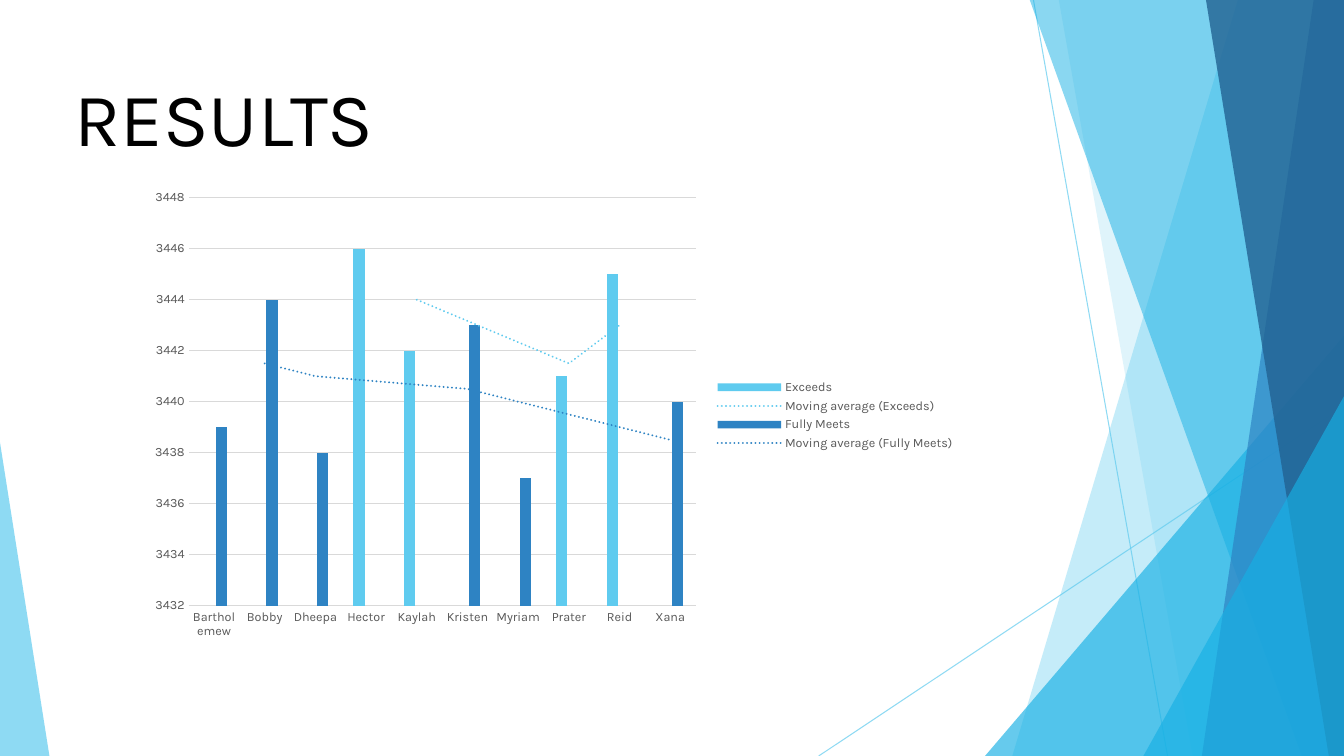
from lxml import etree
from pptx import Presentation
from pptx.chart.data import CategoryChartData
from pptx.dml.color import RGBColor
from pptx.enum.chart import XL_CHART_TYPE as Chart, XL_LEGEND_POSITION as Legend, XL_TICK_MARK as Tick
from pptx.enum.shapes import MSO_CONNECTOR as Line, MSO_SHAPE as Shape
from pptx.enum.text import MSO_ANCHOR as Anchor
from pptx.oxml import parse_xml
from pptx.oxml.ns import nsdecls, qn
from pptx.util import Inches, Pt

SKY, CYAN, BLUE, NAVY = "5FCBEF", "17B0E4", "2E83C3", "226292"
GREY, RULE, BLACK = "595959", "D9D9D9", "000000"
WIDTH, HEIGHT, TOP = 13.33, 7.5, -0.01


def paint(color, value):
    color.rgb = RGBColor.from_string(value)


def fade(fill, alpha):
    """Set the opacity, in percent, of a solid fill."""
    hue = fill._xPr.find(qn("a:solidFill"))[0]
    etree.SubElement(hue, qn("a:alpha")).set("val", str(alpha * 1000))


class Canvas:
    font = "Karla"

    def __init__(self, slide):
        self.shapes = slide.shapes

    def style(self, font, size, color):
        font.name, font.size = self.font, Pt(size)
        paint(font.color, color)

    def tint(self, shape, color, alpha):
        shape.shadow.inherit = False
        shape.fill.solid()
        paint(shape.fill.fore_color, color)
        fade(shape.fill, alpha)
        shape.line.fill.background()

    def line(self, *ends):
        wire = self.shapes.add_connector(Line.STRAIGHT, *map(Inches, ends))
        wire.line.width = Pt(0.75)
        paint(wire.line.color, SKY)
        fade(wire.line.fill, 70)
        etree.SubElement(wire._element.spPr, qn("a:effectLst"))

    def band(self, head, foot, color, alpha):
        """Fill from a slanted edge to the right side of the slide."""
        points = [(Inches(x), Inches(y)) for x, y in
                  [(head, TOP), (WIDTH, TOP), (WIDTH, HEIGHT), (foot, HEIGHT)]]
        pen = self.shapes.build_freeform(*points[0], scale=1.0)
        pen.add_line_segments(points[1:], close=True)
        self.tint(pen.convert_to_shape(), color, alpha)

    def wedge(self, left, top, width, apex, color, alpha):
        """Stand a right triangle on the bottom edge."""
        box = map(Inches, (left, top, width, HEIGHT - top))
        shape = self.shapes.add_shape(Shape.ISOSCELES_TRIANGLE, *box)
        shape.adjustments[0] = apex
        self.tint(shape, color, alpha)

    def title(self, text, *box):
        frame = self.shapes.add_textbox(*map(Inches, box)).text_frame
        frame.word_wrap = True
        frame.vertical_anchor = Anchor.MIDDLE
        frame.text = text
        self.style(frame.paragraphs[0].runs[0].font, 54, BLACK)

    def trend(self, series, color):
        series._element.find(qn("c:cat")).addprevious(parse_xml(
            f'<c:trendline {nsdecls("c", "a")}><c:spPr><a:ln w="19050" cap="rnd">'
            f'<a:solidFill><a:srgbClr val="{color}"/></a:solidFill>'
            '<a:prstDash val="sysDot"/></a:ln></c:spPr>'
            '<c:trendlineType val="movingAvg"/><c:period val="2"/>'
            '<c:dispRSqr val="0"/><c:dispEq val="0"/></c:trendline>'))

    def place(self, chart, **area):
        """Fix the inner plot area as fractions of the chart."""
        plot = chart._chartSpace.chart.plotArea
        for old in plot.findall(qn("c:layout")):
            plot.remove(old)
        sizes = "".join(f'<c:{key} val="{val}"/>' for key, val in area.items())
        plot.insert(0, parse_xml(
            f'<c:layout {nsdecls("c")}><c:manualLayout><c:layoutTarget val="inner"/>'
            f'<c:xMode val="edge"/><c:yMode val="edge"/>{sizes}</c:manualLayout></c:layout>'))

    def columns(self, names, groups, *box):
        data = CategoryChartData(number_format="General")
        data.categories = names
        for label, scores, _ in groups:
            data.add_series(label, [scores.get(name) for name in names])
        chart = self.shapes.add_chart(Chart.COLUMN_CLUSTERED, *map(Inches, box), data).chart
        self.style(chart.font, 10, BLACK)
        chart.has_title = False
        chart.has_legend = True
        chart.legend.position = Legend.RIGHT
        chart.legend.include_in_layout = False
        self.style(chart.legend.font, 9, GREY)

        plot = chart.plots[0]
        plot.gap_width, plot.overlap, plot.vary_by_categories = 219, -27, False
        for series, (_, _, color) in zip(plot.series, groups):
            series.format.fill.solid()
            paint(series.format.fill.fore_color, color)
            series.invert_if_negative = False
            self.trend(series, color)

        cats, vals = chart.category_axis, chart.value_axis
        for axis in (cats, vals):
            axis.major_tick_mark = axis.minor_tick_mark = Tick.NONE
            self.style(axis.tick_labels.font, 9, GREY)
        vals.minimum_scale, vals.maximum_scale, vals.major_unit = 3432, 3448, 2
        vals.has_major_gridlines = True
        vals.format.line.fill.background()
        for rule in (cats.format.line, vals.major_gridlines.format.line):
            rule.width = Pt(0.75)
            paint(rule.color, RULE)
        self.place(chart, x=0.06, y=0.035, w=0.614, h=0.872)


def main():
    deck = Presentation()
    deck.slide_width, deck.slide_height = Inches(WIDTH), Inches(HEIGHT)
    page = Canvas(deck.slides.add_slide(deck.slide_layouts[6]))

    page.line(10.25, 0, 11.58, HEIGHT)
    page.line(WIDTH, 4.03, 8.12, HEIGHT)
    page.band(12.28, 10.04, SKY, 36)
    page.band(10.5, 11.83, SKY, 20)
    page.wedge(9.77, 3.33, 3.56, 1, CYAN, 66)
    page.band(10.21, 12.91, CYAN, 50)
    page.band(13.03, 11.92, BLUE, 70)
    page.band(11.96, 13.18, NAVY, 80)
    page.wedge(11.34, 3.93, 1.99, 1, CYAN, 66)
    page.wedge(0, 4.39, 0.49, 0, SKY, 70)

    page.title("RESULTS", 0.64, 0.65, 7.59, 1.01)
    exceeds = {"Hector": 3446, "Kaylah": 3442, "Prater": 3441, "Reid": 3445}
    meets = {"Bartholemew": 3439, "Bobby": 3444, "Dheepa": 3438,
             "Kristen": 3443, "Myriam": 3437, "Xana": 3440}
    page.columns(sorted(exceeds | meets),
                 [("Exceeds", exceeds, SKY), ("Fully Meets", meets, BLUE)],
                 1.38, 1.8, 8.19, 4.64)
    deck.save("out.pptx")


if __name__ == "__main__":
    main()
